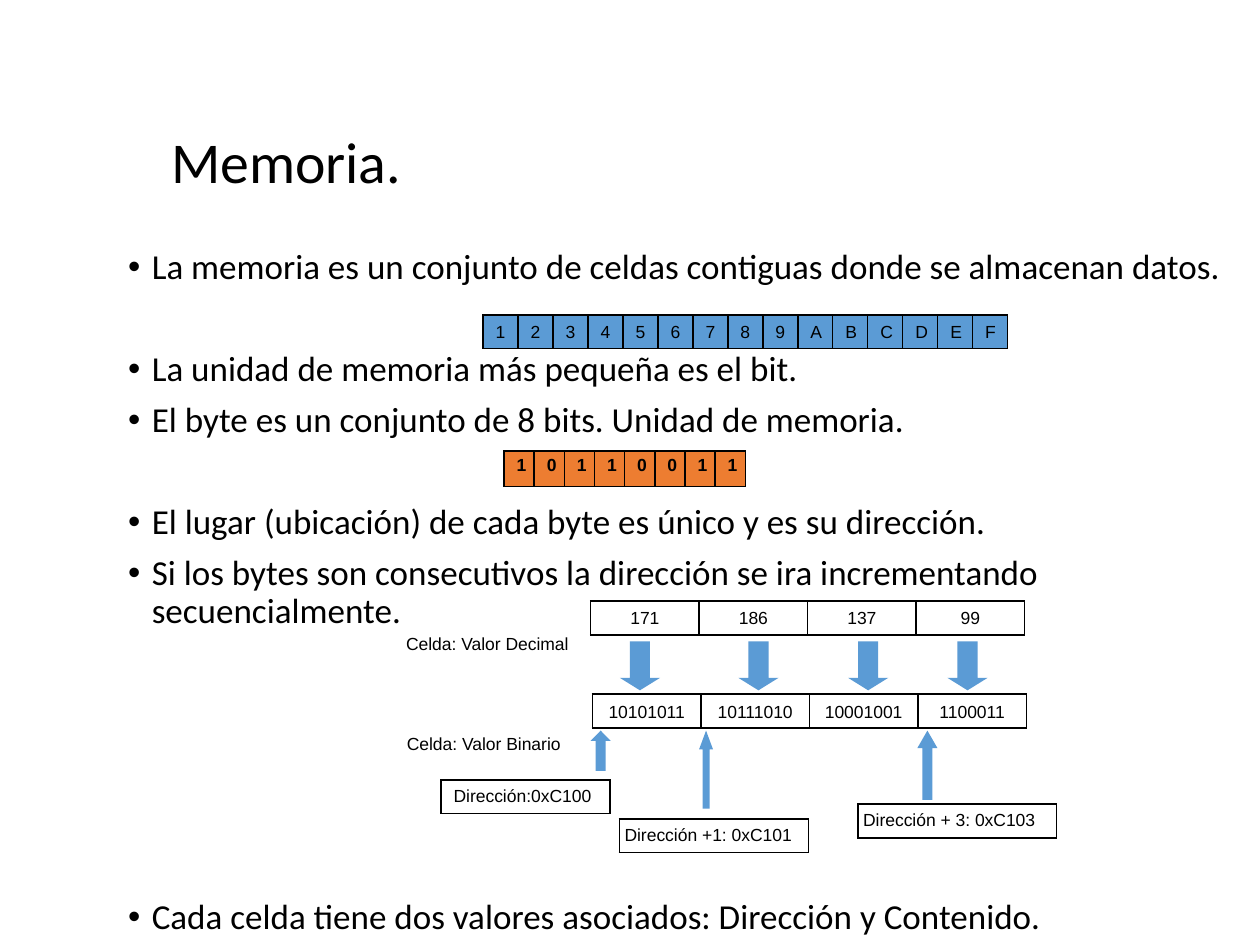
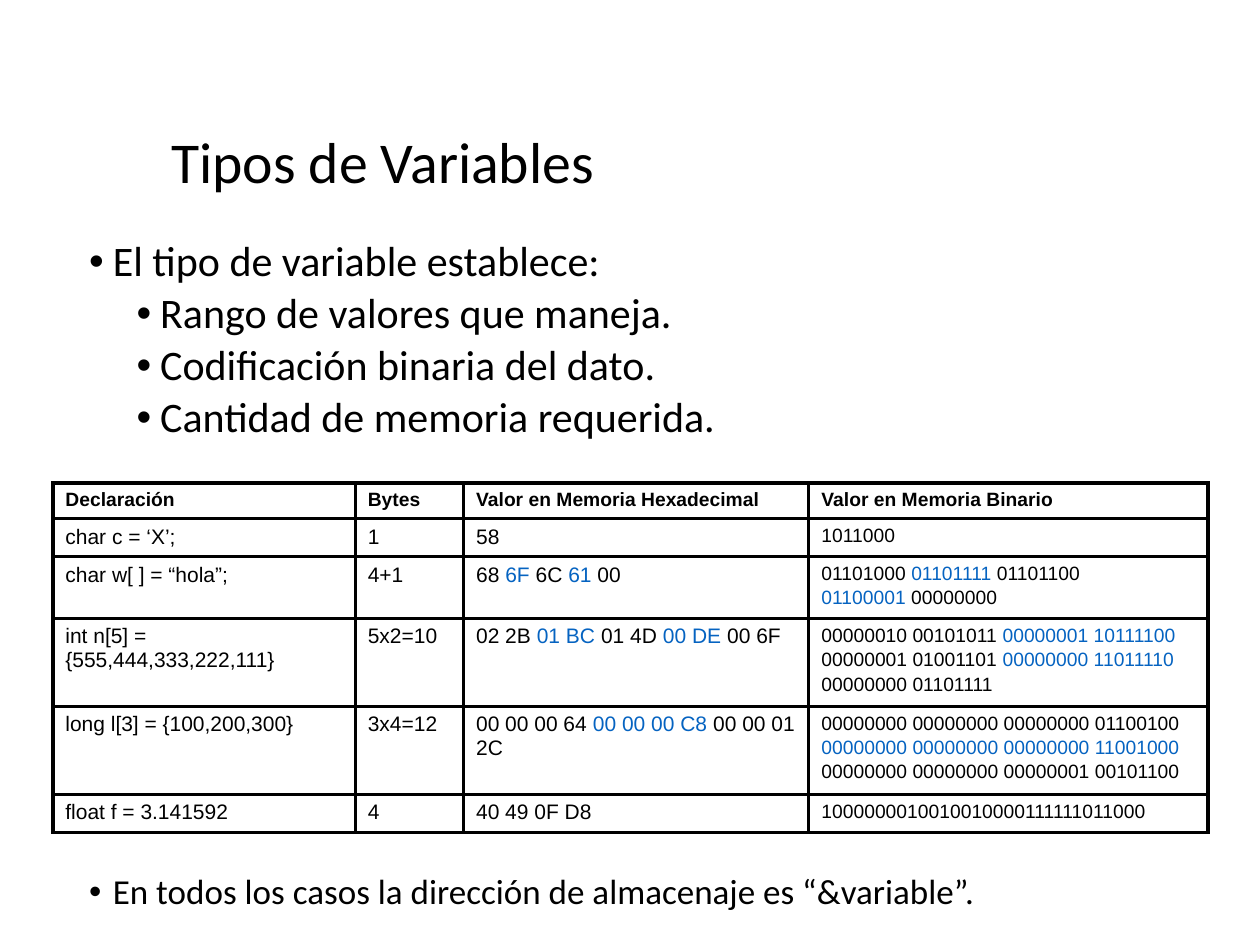
from lxml import etree
from pptx import Presentation
from pptx.dml.color import RGBColor
from pptx.enum import shapes, text
from pptx.oxml import ns
from pptx.util import Pt

BLACK = RGBColor(0x00, 0x00, 0x00)
BLUE = RGBColor(0x5B, 0x9B, 0xD5)
ORANGE = RGBColor(0xED, 0x7D, 0x31)
ACCENT = RGBColor(0x05, 0x63, 0xC1)
HEAD, BODY = "Calibri", "Arial"
LEFT, MID, RIGHT = text.PP_ALIGN.LEFT, text.PP_ALIGN.CENTER, text.PP_ALIGN.RIGHT
CENTRE, BOTTOM, TOP = (text.MSO_ANCHOR.MIDDLE, text.MSO_ANCHOR.BOTTOM,
                       text.MSO_ANCHOR.TOP)
TITLE_BOX = (90.7, 49, 613.4, 90)
INDENT = 13.5
STEP = 27  # further indent of each bullet level


def style(par, face, size, bold=False):
    """Give a paragraph its font."""
    font = par.font
    font.name, font.size, font.bold = face, Pt(size), bold
    font.color.rgb = BLACK


def add_text(slide, box):
    """Add a wrapping text box and return its frame."""
    frame = slide.shapes.add_textbox(*map(Pt, box)).text_frame
    frame.word_wrap = True
    return frame


def add_title(slide, words):
    """Write the slide title, centred on the title band's height."""
    frame = add_text(slide, TITLE_BOX)
    frame.vertical_anchor = CENTRE
    par = frame.paragraphs[0]
    par.text, par.line_spacing = words, 0.9
    style(par, HEAD, 33)


def add_list(slide, box, items):
    """Write bullets from (words, level, size, space before)."""
    frame = add_text(slide, box)
    for i, (words, level, size, gap) in enumerate(items):
        par = frame.add_paragraph() if i else frame.paragraphs[0]
        par.text, par.level = words, level
        par.line_spacing, par.space_before = 0.9, Pt(gap)
        props = par._p.get_or_add_pPr()
        props.set("marL", str(Pt(INDENT + STEP * level)))
        props.set("indent", str(-Pt(INDENT)))
        etree.SubElement(props, ns.qn("a:buFont")).set("typeface", "Arial")
        etree.SubElement(props, ns.qn("a:buChar")).set("char", "•")
        style(par, HEAD, size)


def add_edges(cell, width):
    """Draw the four black borders of a cell, or none at width 0."""
    props = cell._tc.get_or_add_tcPr()
    for i, side in enumerate("LRTB"):
        line = etree.Element(ns.qn("a:ln" + side), w=str(Pt(width)))
        if width:
            fill = etree.SubElement(line, ns.qn("a:solidFill"))
            etree.SubElement(fill, ns.qn("a:srgbClr")).set("val", str(BLACK))
        else:
            etree.SubElement(line, ns.qn("a:noFill"))
        props.insert(i, line)


def fill_cell(cell, words, size, bold, align, space):
    """Write the lines of a cell; parts between asterisks are accented."""
    for i, line in enumerate(words.split("\n")):
        par = cell.text_frame.add_paragraph() if i else cell.text_frame.paragraphs[0]
        par.alignment, par.line_spacing = align, space
        if i:
            par.space_before = Pt(1.7)
        for k, part in enumerate(line.split("*")):
            if part:
                run = par.add_run()
                run.text = part
                if k % 2:
                    run.font.color.rgb = ACCENT
        style(par, BODY, size, bold)


def add_grid(slide, spot, cols, rows, data, fill=None, edge=1, align=MID,
             anchor=BOTTOM, pad=7.2, bold=False, space=1.0,
             size=lambda row, col: 10):
    """Add a table at a spot from column widths, row heights and texts."""
    area = (*spot, sum(cols), sum(rows))
    table = slide.shapes.add_table(len(rows), len(cols), *map(Pt, area)).table
    table.first_row = table.horz_banding = False
    for col, width in zip(table.columns, cols):
        col.width = Pt(width)
    for r, (height, line) in enumerate(zip(rows, data)):
        table.rows[r].height = Pt(height)
        for c, words in enumerate(line):
            cell = table.cell(r, c)
            cell.vertical_anchor = anchor
            cell.margin_left = cell.margin_right = Pt(pad)
            if fill is None:
                cell.fill.background()
            else:
                cell.fill.solid()
                cell.fill.fore_color.rgb = fill
            add_edges(cell, edge)
            fill_cell(cell, words, size(r, c), bold or len(rows) > 1 and r == 0,
                      align, space)


def add_arrow(slide, kind, box, head):
    """Add a blue block arrow with the given head length."""
    arrow = slide.shapes.add_shape(kind, *map(Pt, box))
    arrow.shadow.inherit = False
    arrow.fill.solid()
    arrow.fill.fore_color.rgb = BLUE
    arrow.line.fill.background()
    arrow.adjustments[0], arrow.adjustments[1] = 0.5, head


def add_cells(slide, x, y):
    """Draw decimal and binary cells with their arrows and addresses."""
    wide = [62] * 4
    add_grid(slide, (x, y), wide, [19.4], [["171", "186", "137", "99"]])
    add_grid(slide, (x + 1, y + 53.2), wide, [19.4],
             [["10101011", "10111010", "10001001", "1100011"]])
    for dx in (16.7, 84.4, 147.1, 203.9):
        add_arrow(slide, shapes.MSO_SHAPE.DOWN_ARROW,
                  (x + dx, y + 23, 23, 28), 0.31)
    for dx, dy, width, pad, words in (
            (-85.5, 102.2, 96.5, 7.2, "Dirección:0xC100"),
            (16.5, 124.5, 108, 2.9, "Dirección +1: 0xC101"),
            (152.8, 116, 113.3, 2.9, "Dirección + 3: 0xC103")):
        add_grid(slide, (x + dx, y + dy), [width], [19], [[words]],
                 align=LEFT, anchor=CENTRE, pad=pad)
    for dx, dy, words in ((-126.5, 13, "Celda: Valor Decimal"),
                          (-131, 70, "Celda: Valor Binario")):
        add_grid(slide, (x + dx, y + dy), [121], [21], [[words]],
                 edge=0, align=RIGHT)
    for dx, width, height, head in ((0, 11.5, 23, 0.51), (186.7, 11.5, 39.6, 0.87),
                                    (62, 8, 44.6, 1.35)):
        add_arrow(slide, shapes.MSO_SHAPE.UP_ARROW,
                  (x + dx, y + 74, width, height), head)


def build_memory(slide):
    """Build the slide on memory cells and addresses."""
    gap, skip = 7.5, 29.2  # skip leaves room for one line
    add_list(slide, (66.2, 139, 648, 366.5), [
        ("La memoria es un conjunto de celdas contiguas donde se almacenan datos.",
         0, 20, gap),
        ("La unidad de memoria más pequeña es el bit.", 0, 20, gap + skip),
        ("El byte es un conjunto de 8 bits. Unidad de memoria.", 0, 20, gap),
        ("El lugar (ubicación) de cada byte es único y es su dirección.",
         0, 20, gap + skip),
        ("Si los bytes son consecutivos la dirección se ira incrementando "
         "secuencialmente.", 0, 20, gap),
        ("Cada celda tiene dos valores asociados: Dirección y Contenido.",
         0, 20, gap + 5 * skip)])
    add_title(slide, "Memoria.")
    add_grid(slide, (276, 180), [20] * 15, [18.5], ["123456789ABCDEF"], fill=BLUE)
    add_grid(slide, (288, 257.6), [17] * 8, [20.4], ["10110011"], fill=ORANGE,
             anchor=CENTRE, bold=True, space=0.5)
    add_cells(slide, 337.5, 343.5)


def build_types(slide):
    """Build the slide on variable types and their storage."""
    add_title(slide, "Tipos de Variables")
    add_list(slide, (43.9, 134, 605.5, 324), [
        ("El tipo de variable establece:", 0, 24, 7.5),
        ("Rango de valores que maneja.", 1, 24, 3.8),
        ("Codificación binaria del dato.", 1, 24, 3.8),
        ("Cantidad de memoria requerida.", 1, 24, 3.8),
        ("En todos los casos la dirección de almacenaje es “&variable”.",
         0, 20, 247)])
    data = [
        ("Declaración", "Bytes", "Valor en Memoria Hexadecimal",
         "Valor en Memoria Binario"),
        ("char c = ‘X’;", "1", "58", "1011000"),
        ("char w[ ] = “hola”;", "4+1", "68 *6F* 6C *61* 00",
         "01101000 *01101111* 01101100\n*01100001* 00000000"),
        ("int n[5] = {555,444,333,222,111}", "5x2=10",
         "02 2B *01 BC* 01 4D *00 DE* 00 6F",
         "00000010 00101011 *00000001 10111100*\n"
         "00000001 01001101 *00000000 11011110*\n00000000 01101111"),
        ("long l[3] = {100,200,300}", "3x4=12",
         "00 00 00 64 *00 00 00 C8* 00 00 01 2C",
         "00000000 00000000 00000000 01100100\n"
         "*00000000 00000000 00000000 11001000*\n"
         "00000000 00000000 00000001 00101100"),
        ("float f = 3.141592", "4", "40 49 0F D8",
         "1000000010010010000111111011000")]
    add_grid(slide, (30.2, 276), [172.8, 61.9, 197.3, 228.2],
             [19.4, 20.6, 33.7, 48.6, 48, 21], data, edge=2.25, align=LEFT,
             anchor=TOP, size=lambda row, col: 11 if row == 0 or col == 3 else 12)


deck = Presentation()
deck.slide_width, deck.slide_height = Pt(720), Pt(540)
for build in (build_memory, build_types):
    build(deck.slides.add_slide(deck.slide_layouts[6]))
deck.save("out.pptx")
